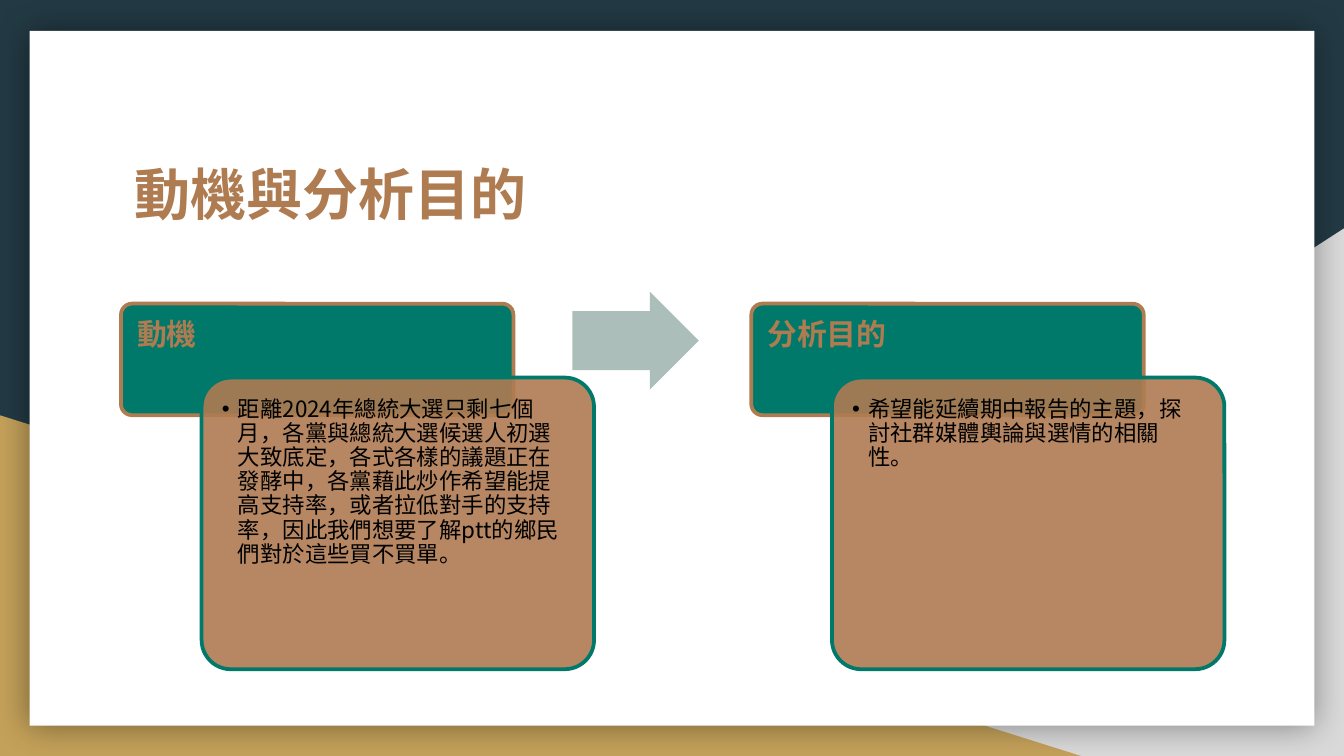
"""Build the slide on motive and purpose of the analysis."""
from dataclasses import dataclass

from lxml import etree
from pptx import Presentation
from pptx import util as u
from pptx.dml.color import RGBColor
from pptx.enum import shapes, text
from pptx.oxml.ns import qn

FORM = shapes.MSO_SHAPE


@dataclass(frozen=True)
class Theme:
    font: str = "Noto Sans CJK TC"
    night: str = "233A44"
    paper: str = "FFFFFF"
    ink: str = "000000"
    gray: str = "D9D9D9"
    gold: str = "C4A15A"
    brown: str = "AF7B51"
    green: str = "00796B"
    mist: str = "ABBEBA"
    title: int = 30
    head: int = 16
    body: int = 12
    edge: int = 2


class Deck:
    def __init__(self, theme, slide):
        self.theme = theme
        self.slide = slide
        back = slide.background.fill
        back.solid()
        back.fore_color.rgb = RGBColor.from_string(theme.night)

    def shape(self, form, box, fill, line=None, adj=(), alpha=None, flip=False):
        item = self.slide.shapes.add_shape(form, *map(u.Inches, box))
        item.shadow.inherit = False
        item.fill.solid()
        item.fill.fore_color.rgb = RGBColor.from_string(fill)
        if line:
            item.line.color.rgb = RGBColor.from_string(line)
            item.line.width = u.Pt(self.theme.edge)
        else:
            item.line.fill.background()
        for i, part in enumerate(adj):
            item.adjustments[i] = part
        props = item.element.spPr
        if alpha:
            tint = props.find(qn("a:solidFill")).find(qn("a:srgbClr"))
            etree.SubElement(tint, qn("a:alpha"), val=str(alpha * 1000))
        if flip:
            props.find(qn("a:xfrm")).set("flipH", "1")
        return item

    def glow(self, item, alpha, blur):
        list_ = item.element.spPr.find(qn("a:effectLst"))
        soft = etree.SubElement(list_, qn("a:outerShdw"), blurRad=str(u.Pt(blur)),
                                dist="0", dir="0", algn="ctr", rotWithShape="0")
        tint = etree.SubElement(soft, qn("a:srgbClr"), val=self.theme.ink)
        etree.SubElement(tint, qn("a:alpha"), val=str(alpha * 1000))

    def frame(self, item, pads, anchor):
        frame = item.text_frame
        frame.word_wrap = True
        frame.auto_size = text.MSO_AUTO_SIZE.NONE
        frame.vertical_anchor = anchor
        (frame.margin_left, frame.margin_top,
         frame.margin_right, frame.margin_bottom) = map(u.Inches, pads)
        para = frame.paragraphs[0]
        para.alignment = text.PP_ALIGN.LEFT
        para.space_before = u.Pt(0)
        return para

    def run(self, para, words, size, color, bold=False):
        run = para.add_run()
        run.text = words
        font = run.font
        font.size = u.Pt(size)
        font.bold = bold
        font.color.rgb = RGBColor.from_string(color)
        font.name = self.theme.font
        etree.SubElement(run._r.get_or_add_rPr(), qn("a:ea"), typeface=self.theme.font)

    def place(self, item, box):
        item.left, item.top, item.width, item.height = map(u.Inches, box)
        item.element.getparent().append(item.element)

    def title(self, words, box):
        item = self.slide.shapes.title
        self.place(item, box)
        para = self.frame(item, [0.1] * 4, text.MSO_ANCHOR.MIDDLE)
        self.run(para, words, self.theme.title, self.theme.brown, True)

    def label(self, words, box):
        item = self.slide.shapes.add_textbox(*map(u.Inches, box))
        para = self.frame(item, (0.12, 0.12, 0.12, 0.07), text.MSO_ANCHOR.TOP)
        para.line_spacing = 0.9
        self.run(para, words, self.theme.head, self.theme.brown, True)

    def bullet(self, item, words, box):
        self.place(item, box)
        para = self.frame(item, [0.09] * 4, text.MSO_ANCHOR.TOP)
        para.level = 1
        para.line_spacing = 0.9
        props = para._p.get_or_add_pPr()
        props.set("marL", str(u.Inches(0.12)))
        props.set("indent", str(u.Inches(-0.12)))
        props.set("hangingPunct", "0")
        tint = etree.SubElement(props, qn("a:buClr"))
        etree.SubElement(tint, qn("a:srgbClr"), val=self.theme.ink)
        etree.SubElement(props, qn("a:buChar"), char="•")
        self.run(para, words, self.theme.body, self.theme.ink)

    def card(self, left, head, item, words):
        look = self.theme
        wide, top = 2.92, 2.26
        self.shape(FORM.ROUNDED_RECTANGLE, (left, top, wide, 0.83),
                   look.green, look.brown, [0.1])
        self.label(head, (left, top, wide, 0.55))
        x, y = left + 0.6, top + 0.55
        self.shape(FORM.ROUNDED_RECTANGLE, (x, y, wide, 2.17),
                   look.brown, look.green, [0.1], alpha=90)
        self.bullet(item, words, (x + 0.06, y + 0.06, 2.79, 2.05))


def main():
    show = Presentation()
    show.slide_width = u.Inches(10)
    show.slide_height = show.slide_width * 9 // 16
    look = Theme()
    deck = Deck(look, show.slides.add_slide(show.slide_layouts[3]))
    left, right = list(deck.slide.placeholders)[1:]

    deck.shape(FORM.RIGHT_TRIANGLE, (3.92, 1.7, 6.08, 3.93), look.gray, flip=True)
    deck.shape(FORM.RIGHT_TRIANGLE, (0, 3.09, 8.06, 2.54), look.gold)
    page = deck.shape(FORM.RECTANGLE, (0.22, 0.23, 9.56, 5.17), look.paper)
    deck.glow(page, 40, 18)
    deck.title("動機與分析目的", (0.9, 0.92, 8.21, 1.04))

    deck.card(0.9, "動機", left,
              "距離2024年總統大選只剩七個月，各黨與總統大選候選人初選大致底定，"
              "各式各樣的議題正在發酵中，各黨藉此炒作希望能提高支持率，"
              "或者拉低對手的支持率，因此我們想要了解ptt的鄉民們對於這些買不買單。")
    deck.shape(FORM.RIGHT_ARROW, (4.26, 2.17, 0.94, 0.73), look.mist, adj=(0.6, 0.5))
    deck.card(5.59, "分析目的", right,
              "希望能延續期中報告的主題，探討社群媒體輿論與選情的相關性。")
    show.save("out.pptx")


if __name__ == "__main__":
    main()
